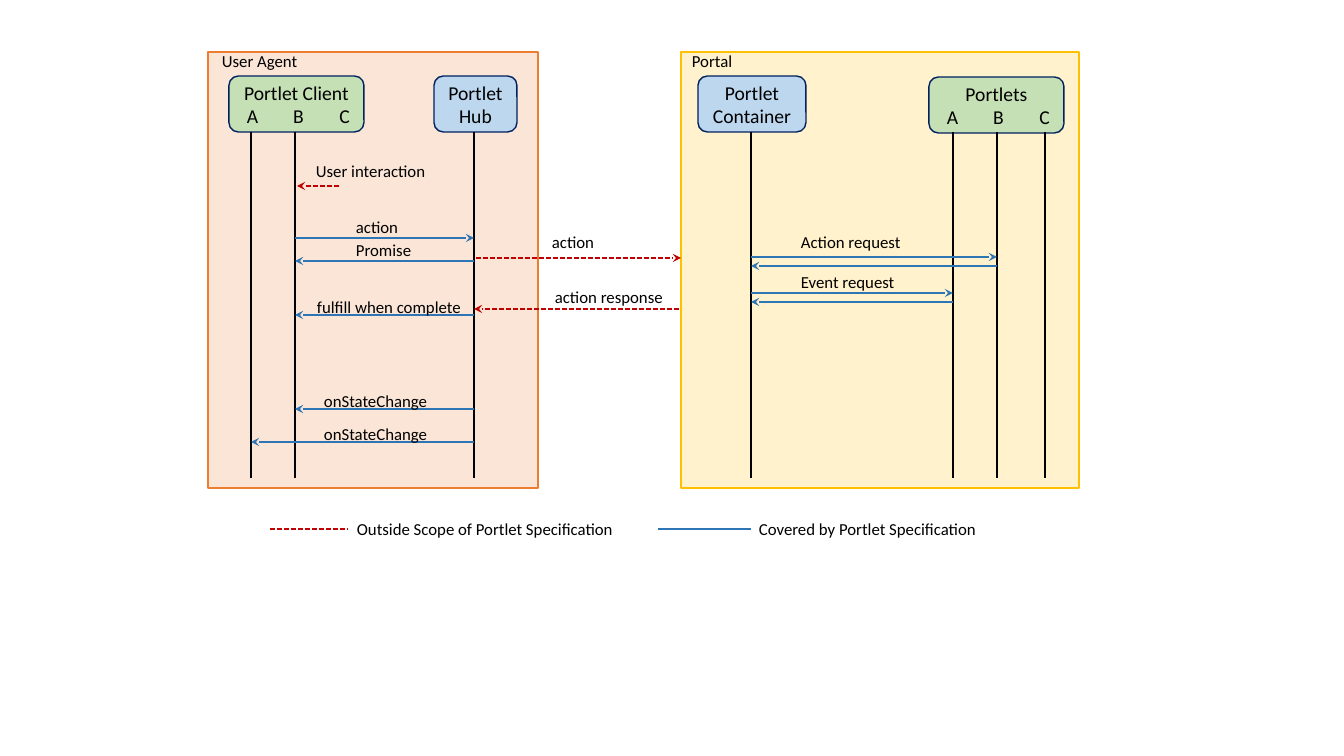
import pptx
import pptx.dml.color
import pptx.enum.dml
import pptx.enum.shapes
import pptx.enum.text
import pptx.oxml.ns
import pptx.util
from lxml import etree

RGBColor = pptx.dml.color.RGBColor
SHAPE = pptx.enum.shapes.MSO_SHAPE
BLACK = RGBColor(0x00, 0x00, 0x00)
NAVY = RGBColor(0x00, 0x20, 0x60)
RED = RGBColor(0xC0, 0x00, 0x00)
BLUE = RGBColor(0x2E, 0x75, 0xB6)
ORANGE = RGBColor(0xED, 0x7D, 0x31)
GOLD = RGBColor(0xFF, 0xC0, 0x00)
PALE_ORANGE = RGBColor(0xFB, 0xE5, 0xD6)
PALE_GOLD = RGBColor(0xFF, 0xF2, 0xCC)
PALE_GREEN = RGBColor(0xC5, 0xE0, 0xB4)
PALE_BLUE = RGBColor(0xBD, 0xD7, 0xEE)

PX = 914400 / 100.8  # EMU in one px
FONT = "Calibri"
qn = pptx.oxml.ns.qn


def add_box(kind, frame, fill, outline, weight):
    box = page.shapes.add_shape(kind, *(round(value * PX) for value in frame))
    box.shadow.inherit = False
    box.fill.solid()
    box.fill.fore_color.rgb = fill
    box.line.color.rgb = outline
    box.line.width = pptx.util.Pt(weight)
    return box


def add_line(left, top, right, bottom, color, dashed=False, arrow=False):
    """Draw a line; an arrow points at its second end."""
    line = page.shapes.add_connector(
        pptx.enum.shapes.MSO_CONNECTOR.STRAIGHT,
        *(round(value * PX) for value in (left, top, right, bottom)))
    line.line.color.rgb = color
    line.line.width = pptx.util.Pt(1.25)
    if dashed:
        line.line.dash_style = pptx.enum.dml.MSO_LINE.SQUARE_DOT
    properties = line._element.spPr
    if arrow:
        etree.SubElement(properties.find(qn("a:ln")), qn("a:tailEnd"), type="stealth")
    etree.SubElement(properties, qn("a:effectLst"))


deck = pptx.Presentation()
deck.slide_width = round(1344 * PX)
deck.slide_height = round(756 * PX)
page = deck.slides.add_slide(deck.slide_layouts[6])

# Systems
add_box(SHAPE.RECTANGLE, (681, 52, 398, 436), PALE_GOLD, GOLD, 1.5)
add_box(SHAPE.RECTANGLE, (208, 52, 330, 436), PALE_ORANGE, ORANGE, 1.5)

# Participants
LETTERS = "\tA\tB\tC"
LETTER_STOPS = (11, 57, 103)
participants = [
    (229, 76, 135, PALE_GREEN, ["Portlet Client", LETTERS]),
    (434, 76, 83, PALE_BLUE, ["Portlet", "Hub"]),
    (698, 76, 108, PALE_BLUE, ["Portlet Container"]),
    (929, 77, 135, PALE_GREEN, ["Portlets", LETTERS]),
]
for left, top, width, fill, lines in participants:
    box = add_box(SHAPE.ROUNDED_RECTANGLE, (left, top, width, 56), fill, NAVY, 1)
    frame = box.text_frame
    frame.word_wrap = True
    frame.vertical_anchor = pptx.enum.text.MSO_ANCHOR.MIDDLE
    frame.text = "\n".join(lines)
    for para in frame.paragraphs:
        para.font.name = FONT
        para.font.size = pptx.util.Pt(14)
        para.font.color.rgb = BLACK
        para.alignment = pptx.enum.text.PP_ALIGN.CENTER
        if para.text == LETTERS:
            para.alignment = pptx.enum.text.PP_ALIGN.LEFT
            stops = etree.Element(qn("a:tabLst"))
            for stop in LETTER_STOPS:
                etree.SubElement(stops, qn("a:tab"), pos=str(round(stop * PX)), algn="ctr")
            para._p.pPr.find(qn("a:defRPr")).addprevious(stops)

# Lifelines
CLIENT_A, CLIENT_B, HUB, CONTAINER = 251, 295, 474, 751
PORTLET_A, PORTLET_B, PORTLET_C = 953, 997, 1045
for x in (CLIENT_A, CLIENT_B, HUB, CONTAINER, PORTLET_A, PORTLET_B, PORTLET_C):
    add_line(x, 132, x, 478, BLACK)

# Messages covered by the specification: sender, receiver, height
for sender, receiver, y in [
    (CLIENT_B, HUB, 238),
    (HUB, CLIENT_B, 261),
    (HUB, CLIENT_B, 315),
    (HUB, CLIENT_B, 409),
    (HUB, CLIENT_A, 442),
    (CONTAINER, PORTLET_B, 257),
    (PORTLET_B, CONTAINER, 266),
    (CONTAINER, PORTLET_A, 293),
    (PORTLET_A, CONTAINER, 302),
]:
    add_line(sender, y, receiver, y, BLUE, arrow=True)

# Messages outside its scope
for start, end, y in [(339, 297, 186), (476, 681, 258), (679, HUB, 309)]:
    add_line(start, y, end, y, RED, dashed=True, arrow=True)

# Legend
add_line(270, 529, 347, 529, RED, dashed=True)
add_line(658, 529, 751, 529, BLUE)

# Labels: left, top, width, wording
for left, top, width, wording in [
    (212, 46, 97, "User Agent"),
    (682, 46, 61, "Portal"),
    (306, 156, 131, "User interaction"),
    (346, 212, 64, "action"),
    (346, 235, 77, "Promise"),
    (307, 292, 166, "fulfill when complete"),
    (314, 386, 124, "onStateChange"),
    (314, 419, 124, "onStateChange"),
    (542, 227, 64, "action"),
    (545, 282, 130, "action response"),
    (791, 227, 121, "Action request"),
    (791, 267, 115, "Event request"),
    (347, 514, 279, "Outside Scope of Portlet Specification"),
    (749, 514, 240, "Covered by Portlet Specification"),
]:
    label = page.shapes.add_textbox(*(round(value * PX) for value in (left, top, width, 30)))
    label.text_frame.word_wrap = False
    label.text_frame.auto_size = pptx.enum.text.MSO_AUTO_SIZE.SHAPE_TO_FIT_TEXT
    para = label.text_frame.paragraphs[0]
    para.text = wording
    para.font.name = FONT
    para.font.size = pptx.util.Pt(12)
    para.font.color.rgb = BLACK

deck.save("out.pptx")
